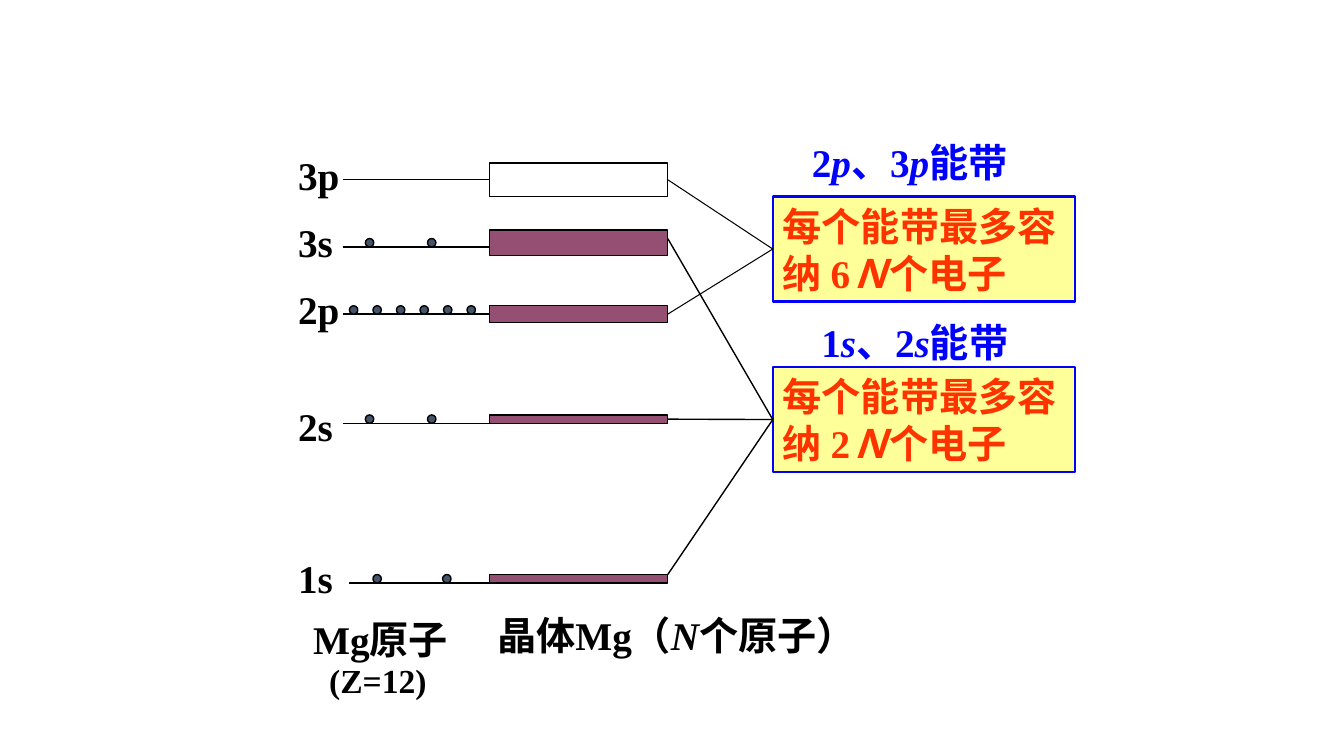
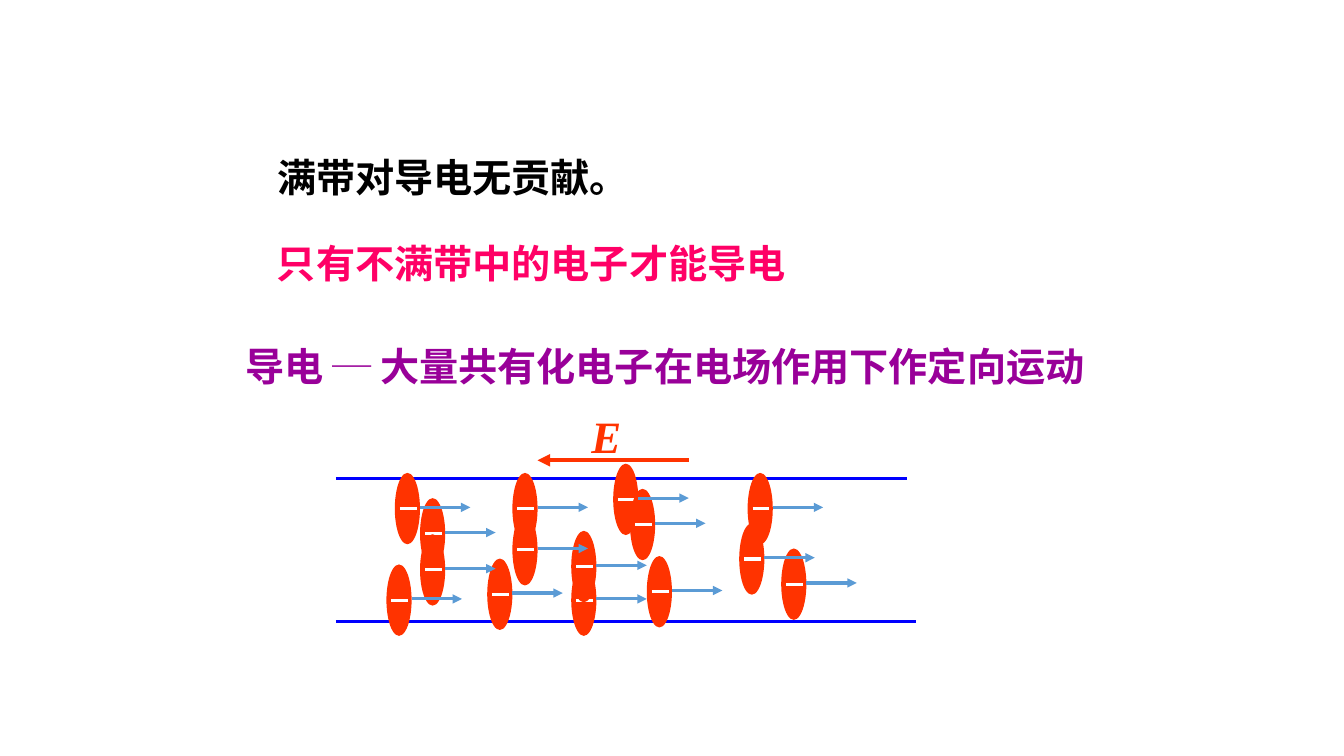
from dataclasses import dataclass

from lxml import etree
from pptx import Presentation
from pptx.dml.color import RGBColor
from pptx.enum.shapes import MSO_CONNECTOR, MSO_SHAPE
from pptx.enum.text import MSO_ANCHOR, MSO_AUTO_SIZE, PP_ALIGN
from pptx.oxml.ns import qn
from pptx.util import Inches, Pt

STRAIGHT = MSO_CONNECTOR.STRAIGHT
RECTANGLE = MSO_SHAPE.RECTANGLE
ELLIPSE = MSO_SHAPE.OVAL
TOP, MIDDLE = MSO_ANCHOR.TOP, MSO_ANCHOR.MIDDLE
LEFT, CENTER = PP_ALIGN.LEFT, PP_ALIGN.CENTER
FIT_SHAPE = MSO_AUTO_SIZE.SHAPE_TO_FIT_TEXT
LEFT_SIDE, RIGHT_SIDE = 1, 3

WIDTH, HEIGHT = Inches(13.34), Inches(7.5)
COLUMN, ROW = WIDTH / 160, HEIGHT / 90
LATIN, CHINESE, DASH = "Times New Roman", "Noto Sans CJK SC", "Arial"
COLORS = {
    "black": "000000",
    "white": "FFFFFF",
    "band": "954F72",
    "dot": "44546A",
    "blue": "0000FF",
    "yellow": "FFFF99",
    "red": "FF3300",
    "pink": "FF0066",
    "purple": "990099",
    "arrow": "5B9BD5",
}


@dataclass
class Box:
    left: float
    top: float
    width: float = 0
    height: float = 0

    def inner(self, left, top, width=0, height=0):
        return Box(self.left + left, self.top + top, width, height)

    def emu(self):
        return (round(self.left * COLUMN), round(self.top * ROW),
                round(self.width * COLUMN), round(self.height * ROW))


def color(name):
    return RGBColor.from_string(COLORS[name])


def write_text(shape, runs, tint="black", size=28, align=LEFT, anchor=TOP,
               spacing=None):
    frame = shape.text_frame
    frame.word_wrap = True
    frame.auto_size = FIT_SHAPE
    frame.vertical_anchor = anchor
    paragraph = frame.paragraphs[0]
    paragraph.alignment = align
    if spacing:
        paragraph.line_spacing = spacing
    for text, italic, typeface in runs:
        run = paragraph.add_run()
        run.text = text
        run.font.name = typeface
        run.font.size = Pt(size)
        run.font.bold = True
        run.font.italic = italic
        run.font.color.rgb = color(tint)
        east_asian = etree.Element(qn("a:ea"), typeface=CHINESE)
        run.font._element.find(qn("a:latin")).addnext(east_asian)


def plain(text, typeface=LATIN):
    return text, False, typeface


def italic(text):
    return text, True, LATIN


def add_text(slide, box, runs, **text_format):
    shape = slide.shapes.add_textbox(*box.emu())
    write_text(shape, runs, **text_format)


def add_figure(slide, kind, box, fill, outline=None, weight=1):
    shape = slide.shapes.add_shape(kind, *box.emu())
    shape.shadow.inherit = False
    shape.fill.solid()
    shape.fill.fore_color.rgb = color(fill)
    if outline:
        shape.line.color.rgb = color(outline)
        shape.line.width = Pt(weight)
    else:
        shape.line.fill.background()
    return shape


def add_line(slide, start, end, tint="black", weight=1, arrow=False):
    begin_x, begin_y = start.emu()[:2]
    end_x, end_y = end.emu()[:2]
    line = slide.shapes.add_connector(STRAIGHT, begin_x, begin_y, end_x, end_y)
    line.line.color.rgb = color(tint)
    line.line.width = Pt(weight)
    properties = line._element.spPr
    if arrow:
        outline = properties.find(qn("a:ln"))
        etree.SubElement(outline, qn("a:tailEnd"), type="triangle")
    etree.SubElement(properties, qn("a:effectLst"))
    return line


def add_levels(slide, region):
    band_left, band_width = 24, 21.2
    levels = [
        ("3p", 0, 6.5, 4, 2, 4, "white", []),
        ("3s", 8, 6.5, 12, 10, 3, "band", [9.2, 16.6]),
        ("2p", 16, 6.5, 20, 19, 2, "band", [7.3 + 2.8 * i for i in range(6)]),
        ("2s", 29.9, 6.5, 33, 32, 1, "band", [9.2, 16.6]),
        ("1s", 48, 7.3, 52, 51, 1, "band", [10.1, 18.4]),
    ]
    bands = {}
    for name, label_top, line_left, line_row, top, height, fill, dots in levels:
        add_text(slide, region.inner(0, label_top, 9.2, 6.8), [plain(name)])
        band = add_figure(slide, RECTANGLE,
                          region.inner(band_left, top, band_width, height), fill, "black")
        line = add_line(slide, region.inner(line_left, line_row),
                        region.inner(band_left, line_row))
        if line_row == top + height / 2:
            line.end_connect(band, LEFT_SIDE)
        for dot_left in dots:
            add_figure(slide, ELLIPSE, region.inner(dot_left, line_row - 1, 1, 1),
                       "dot", "black")
        bands[name] = band
    return bands


def add_capacity(slide, region, title_box, orbital, shells, count, links, weight):
    box = add_figure(slide, RECTANGLE, region, "yellow", "blue", 1.5)
    write_text(box, [plain(f"每个能带最多容纳 {count}"), italic("Ｎ"), plain("个电子")],
               tint="red", anchor=MIDDLE)
    first, second = shells
    add_text(slide, title_box,
             [plain(first), italic(orbital), plain(f"、{second}"),
              italic(orbital), plain("能带")],
             tint="blue", align=CENTER, anchor=MIDDLE)
    for start, band in links:
        line = add_line(slide, start, region.inner(0, region.height / 2), weight=weight)
        if band:
            line.begin_connect(band, RIGHT_SIDE)
        line.end_connect(box, LEFT_SIDE)


def add_captions(slide, region):
    add_text(slide, region.inner(0, 0.5, 21.2, 6.8), [plain("Mg原子")])
    add_text(slide, region.inner(0.9, 5.8, 16, 6), [plain("(Z=12)")],
             size=24, align=CENTER, anchor=MIDDLE)
    add_text(slide, region.inner(21.9, 0, 46.4, 12.5),
             [plain("晶体Mg（"), italic("N"), plain("个原子）")])


def build_bands_slide(slide):
    diagram = Box(34.3, 17.4)
    bands = add_levels(slide, diagram)
    band_right = 45.2
    add_capacity(slide, Box(92, 23.4, 36, 12.5), Box(92.3, 15.9, 32, 6.8),
                 "p", "23", 6,
                 [(diagram.inner(band_right, 4), bands["3p"]),
                  (diagram.inner(band_right, 20), bands["2p"])], 0.75)
    add_capacity(slide, Box(92, 43.7, 36, 12.5), Box(92.9, 37.3, 32, 6.8),
                 "s", "12", 2,
                 [(diagram.inner(band_right, 11), None),
                  (diagram.inner(band_right, 32.5), bands["2s"]),
                  (diagram.inner(band_right, 51), None)], 1)
    add_captions(slide, Box(36.1, 72.2))


def add_statements(slide, region):
    add_text(slide, region.inner(3.8, 0, 55.8, 6.8), [plain("满带对导电无贡献。")])
    add_text(slide, region.inner(3.8, 11.3, 66.1, 5.8),
             [plain("只有不满带中的电子才能导电")], tint="pink", spacing=0.8)
    add_text(slide, region.inner(0, 22.4, 108.7, 6.8),
             [plain("导电 ", CHINESE), plain("─", DASH),
              plain(" 大量共有化电子在电场作用下作定向运动", CHINESE)],
             tint="purple")


def add_conductor(slide, region):
    electrons = [
        (28, 19.2), (18, 18.5), (7, 8.3), (33, 7.2), (10, 11.3),
        (10, 15.6), (21, 8.3), (21, 13.2), (35, 10.2), (37, 18.2),
        (48, 14.3), (49, 8.3), (53, 17.3), (6, 19.2), (28, 15.2),
    ]
    for row, length in ((9, 68), (26, 69)):
        add_line(slide, region.inner(0, row), region.inner(length, row), "blue", 2.25)
    for left, top in electrons:
        electron = region.inner(left, top, 3, 8.5)
        add_figure(slide, ELLIPSE, electron, "red")
        add_line(slide, electron.inner(0.6, 4.25), electron.inner(2.6, 4.25),
                 "white", 2.25)
    for left, top in electrons:
        add_line(slide, region.inner(left + 3, top + 4.1),
                 region.inner(left + 9, top + 4.1), "arrow", 2.25, arrow=True)
    add_line(slide, region.inner(42, 6.8), region.inner(24, 6.8), "red", 3, arrow=True)
    add_text(slide, region.inner(28.2, 0, 8, 7.7), [italic("E")], tint="red",
             size=32, align=CENTER, anchor=MIDDLE)


def build_conduction_slide(slide):
    add_statements(slide, Box(28, 17.7))
    add_conductor(slide, Box(40, 48))


def main():
    presentation = Presentation()
    presentation.slide_width, presentation.slide_height = WIDTH, HEIGHT
    blank = presentation.slide_layouts[6]
    for build in (build_bands_slide, build_conduction_slide):
        build(presentation.slides.add_slide(blank))
    presentation.save("out.pptx")


if __name__ == "__main__":
    main()
